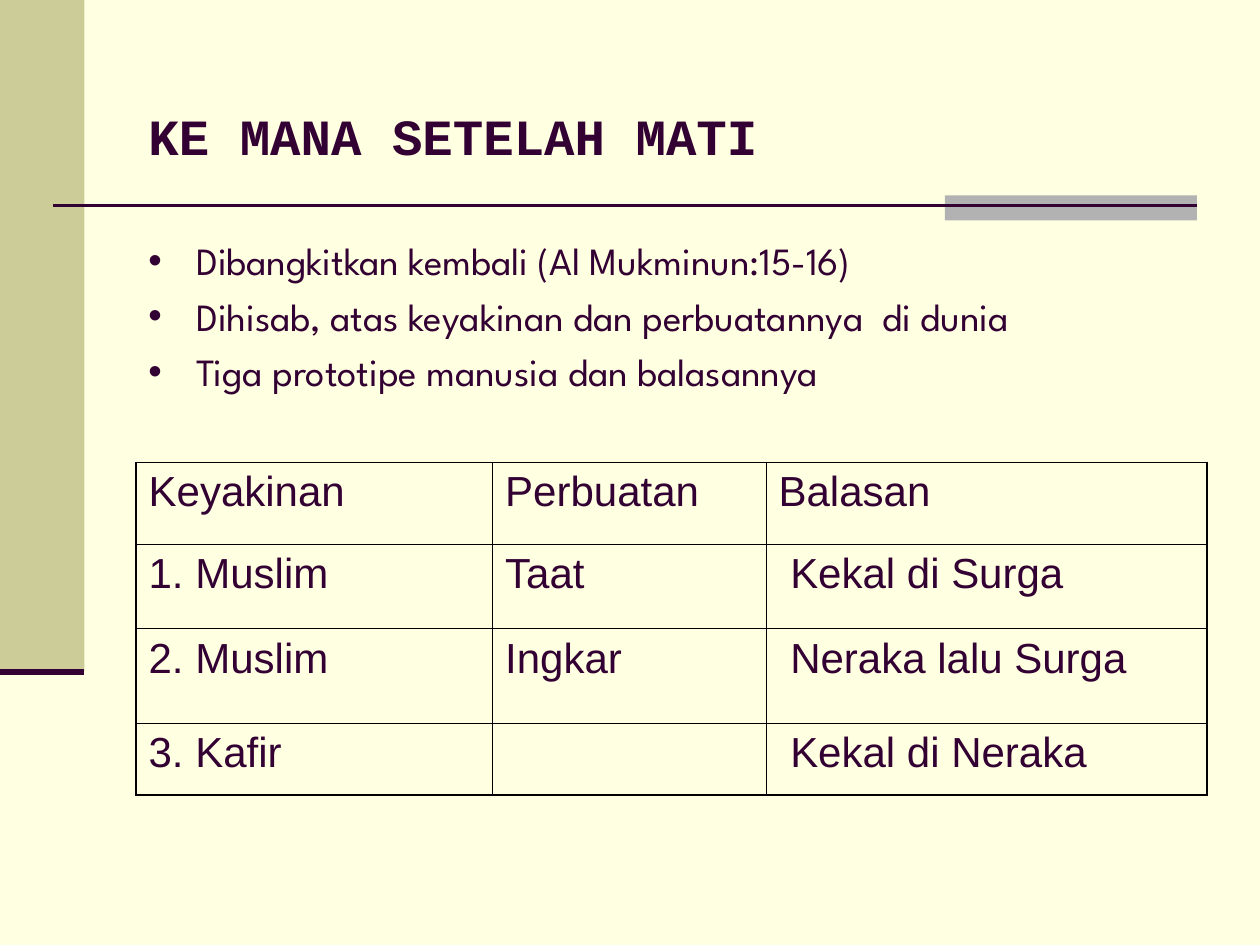
from dataclasses import dataclass

from pptx import Presentation
from pptx.dml.color import RGBColor
from pptx.enum.shapes import MSO_CONNECTOR, MSO_SHAPE
from pptx.enum.text import MSO_ANCHOR
from pptx.oxml.ns import qn
from pptx.util import Inches, Pt
from lxml import etree

STRAIGHT = MSO_CONNECTOR.STRAIGHT
RECTANGLE = MSO_SHAPE.RECTANGLE
MIDDLE = MSO_ANCHOR.MIDDLE


@dataclass(frozen=True)
class Theme:
    """Colours, fonts, type sizes and line widths of the slide."""
    paper: str = "FFFFE1"
    ink: str = "330033"
    band: str = "CCCC99"
    accent: str = "B2B2B2"
    grid: str = "000000"
    title_font: str = "Courier New"
    list_font: str = "League Spartan"
    table_font: str = "Arial"
    title_size: float = 29
    list_size: float = 22
    table_size: float = 24
    list_gap: float = 5.5
    inner_border: float = 0.45
    outer_border: float = 1.08


THEME = Theme()

BULLETS = [
    "Dibangkitkan kembali (Al Mukminun:15-16)",
    "Dihisab, atas keyakinan dan perbuatannya  di dunia",
    "Tiga prototipe manusia dan balasannya",
]
COLUMN_WIDTHS = [2.83, 2.17, 3.5]
ROW_HEIGHTS = [0.65, 0.67, 0.75, 0.57]
ROWS = [
    ["Keyakinan", "Perbuatan", "Balasan"],
    ["1. Muslim", "Taat", " Kekal di Surga"],
    ["2. Muslim", "Ingkar", " Neraka lalu Surga"],
    ["3. Kafir", "", " Kekal di Neraka"],
]


def add_block(page, left, top, width, height, color):
    """Add a plain filled rectangle."""
    block = page.shapes.add_shape(
        RECTANGLE, Inches(left), Inches(top), Inches(width), Inches(height))
    block.shadow.inherit = False
    block.fill.solid()
    block.fill.fore_color.rgb = RGBColor.from_string(color)
    block.line.fill.background()


def add_rule(page, left, right, top, weight):
    """Add a horizontal line without a shadow."""
    rule = page.shapes.add_connector(
        STRAIGHT, Inches(left), Inches(top), Inches(right), Inches(top))
    rule.line.color.rgb = RGBColor.from_string(THEME.ink)
    rule.line.width = Pt(weight)
    etree.SubElement(rule.element.spPr, qn("a:effectLst"))


def style_runs(para, font, size, bold=False):
    """Format every run of a paragraph."""
    for span in para.runs:
        span.font.name = font
        span.font.size = Pt(size)
        span.font.bold = bold
        span.font.color.rgb = RGBColor.from_string(THEME.ink)


def add_text(page, left, top, width, height, lines, font, size, bold=False):
    """Add a wrapping text box with one paragraph per line."""
    box = page.shapes.add_textbox(
        Inches(left), Inches(top), Inches(width), Inches(height))
    frame = box.text_frame
    frame.word_wrap = True
    frame.text = "\n".join(lines)
    for para in frame.paragraphs:
        style_runs(para, font, size, bold)
    return frame


def add_bullet(para):
    """Give a paragraph a hanging bullet in the ink colour."""
    props = para._p.get_or_add_pPr()
    props.set("marL", str(Inches(0.38)))
    props.set("indent", str(Inches(-0.38)))
    color = etree.SubElement(props, qn("a:buClr"))
    etree.SubElement(color, qn("a:srgbClr"), val=THEME.ink)
    etree.SubElement(props, qn("a:buFont"), typeface=THEME.table_font)
    etree.SubElement(props, qn("a:buChar"), char="•")


def add_border(cell, side, weight):
    """Draw one side of a table cell."""
    line = etree.SubElement(
        cell._tc.get_or_add_tcPr(), qn(f"a:ln{side}"), w=str(Pt(weight)))
    fill = etree.SubElement(line, qn("a:solidFill"))
    etree.SubElement(fill, qn("a:srgbClr"), val=THEME.grid)


def add_grid(page, left, top):
    """Add the table with a heavier outer frame."""
    last_row, last_column = len(ROWS) - 1, len(COLUMN_WIDTHS) - 1
    table = page.shapes.add_table(
        len(ROWS), len(COLUMN_WIDTHS), Inches(left), Inches(top),
        Inches(sum(COLUMN_WIDTHS)), Inches(sum(ROW_HEIGHTS))).table
    table.first_row = table.horz_banding = False
    for column, width in zip(table.columns, COLUMN_WIDTHS):
        column.width = Inches(width)
    for row, height in zip(table.rows, ROW_HEIGHTS):
        row.height = Inches(height)
    for r, texts in enumerate(ROWS):
        for c, text in enumerate(texts):
            cell = table.cell(r, c)
            cell.text = text
            style_runs(cell.text_frame.paragraphs[0],
                       THEME.table_font, THEME.table_size)
            outer_sides = {"L": c == 0, "R": c == last_column,
                           "T": r == 0, "B": r == last_row}
            for side, is_outer in outer_sides.items():
                add_border(cell, side,
                           THEME.outer_border if is_outer else THEME.inner_border)
            cell.fill.background()


def main():
    """Build and save the slide."""
    deck = Presentation()
    deck.slide_width, deck.slide_height = Inches(10), Inches(7.5)
    page = deck.slides.add_slide(deck.slide_layouts[6])
    page.background.fill.solid()
    page.background.fill.fore_color.rgb = RGBColor.from_string(THEME.paper)

    add_block(page, 0, 0, 0.67, 5.33, THEME.band)
    add_block(page, 7.5, 1.55, 2, 0.2, THEME.accent)
    add_rule(page, 0.42, 9.5, 1.63, 1.5)
    add_rule(page, 0, 0.67, 5.33, 3.5)

    title = add_text(page, 1.08, 0.75, 8.5, 0.65, ["KE MANA SETELAH MATI"],
                     THEME.title_font, THEME.title_size, bold=True)
    title.vertical_anchor = MIDDLE
    add_grid(page, 1.08, 3.67)
    points = add_text(page, 1.08, 1.83, 8.42, 1.42, BULLETS,
                      THEME.list_font, THEME.list_size)
    for index, para in enumerate(points.paragraphs):
        add_bullet(para)
        para.space_before = Pt(THEME.list_gap if index else 0)

    deck.save("out.pptx")


if __name__ == "__main__":
    main()
